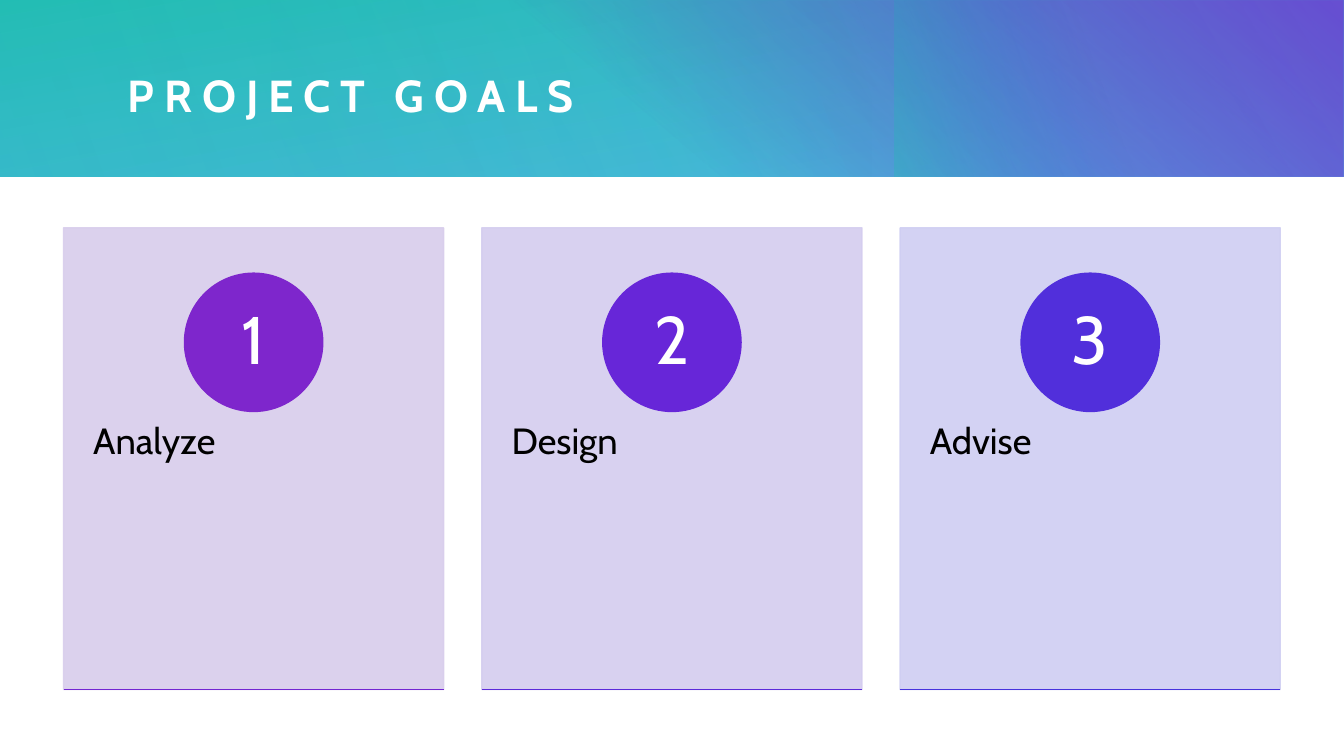
"""Build a project goals slide with a gradient header and three numbered cards."""
from dataclasses import dataclass
from typing import Any, NamedTuple

from lxml import etree
from pptx import Presentation
from pptx.dml.color import RGBColor
from pptx.enum.shapes import MSO_CONNECTOR, MSO_SHAPE
from pptx.enum.text import MSO_ANCHOR, PP_ALIGN
from pptx.oxml.ns import qn
from pptx.util import Pt

RECTANGLE = MSO_SHAPE.RECTANGLE
OVAL = MSO_SHAPE.OVAL
STRAIGHT = MSO_CONNECTOR.STRAIGHT
TOP = MSO_ANCHOR.TOP
MIDDLE = MSO_ANCHOR.MIDDLE
LEFT = PP_ALIGN.LEFT
CENTER = PP_ALIGN.CENTER


@dataclass(frozen=True)
class Theme:
    font: str = "Cabin"
    white: str = "FFFFFF"
    black: str = "000000"
    sky: str = "33ADDD"
    teal: str = "20C2AC"
    purple: str = "7E26CC"
    blue: str = "2154CB"
    title_size: float = 32
    number_size: float = 48
    label_size: float = 26
    title_tracking: float = 7
    line_width: float = 1
    card_opacity: float = 90


class Area(NamedTuple):
    left: float
    top: float
    width: float
    height: float

    def lengths(self) -> list[Pt]:
        return [Pt(value) for value in self]


class Stop(NamedTuple):
    position: float
    color: str
    opacity: float = 100


class Band(NamedTuple):
    area: Area
    angle: float
    stops: tuple[Stop, Stop]
    rotation: float = 0


class Goal(NamedTuple):
    label: str
    panel: str
    circle: str
    rule: str


class TextStyle(NamedTuple):
    size: float
    color: str
    align: Any = LEFT
    anchor: Any = TOP
    inset_x: float = 0
    inset_y: float = 0
    line_spacing: float = 1
    bold: bool = False
    tracking: float = 0


THEME = Theme()
PAGE_WIDTH, PAGE_HEIGHT = 960, 540
HEADER_HEIGHT = 126
CARD = Area(45.4, 162.7, 271.5, 329.8)
CARD_PITCH = 298.8
CIRCLE_SIZE, CIRCLE_TOP = 98.8, 195.1
NUMBER_SIZE = 69.8
LABEL_TOP, LABEL_HEIGHT = 288, 198
TITLE_AREA = Area(91.4, 29.5, 817.2, 76.3)

TITLE_STYLE = TextStyle(THEME.title_size, THEME.white, anchor=MIDDLE, bold=True,
                        tracking=THEME.title_tracking)
LABEL_STYLE = TextStyle(THEME.label_size, THEME.black, inset_x=21.2, inset_y=25.6,
                        line_spacing=0.9)
NUMBER_STYLE = TextStyle(THEME.number_size, THEME.white, CENTER, MIDDLE, 7.8, 0.7, 0.9)

BANDS = (
    Band(Area(0, 0, PAGE_WIDTH, HEADER_HEIGHT), 260,
         (Stop(0, THEME.sky, 83), Stop(1, THEME.teal))),
    Band(Area(346.3, 0.5, 613.7, 125.5), 310,
         (Stop(0.22, THEME.purple, 0), Stop(0.99, THEME.purple))),
    Band(Area(710.6, -71.6, HEADER_HEIGHT, 269.2), 250,
         (Stop(0.45, THEME.blue, 0), Stop(0.99, THEME.teal, 33)), 270),
    Band(Area(193.3, 0, 766.4, HEADER_HEIGHT), 330,
         (Stop(0, THEME.sky, 30), Stop(0.99, THEME.sky, 0)), 180),
    Band(Area(0, 0, 622.8, HEADER_HEIGHT), 340,
         (Stop(0, THEME.sky, 21), Stop(0.99, THEME.sky, 0))),
)

GOALS = (
    Goal("Analyze", "D8CDEC", "7E26CC", "7326D2"),
    Goal("Design", "D4CDEF", "6726D8", "5C2ADA"),
    Goal("Advise", "CFCEF2", "512FDB", "4733DD"),
)


def set_values(target: Any, values: dict[str, Any]) -> None:
    for name, value in values.items():
        setattr(target, name, value)


def set_opacities(shape: Any, opacities: list[float]) -> None:
    colors = list(shape._element.spPr.iter(qn("a:srgbClr")))
    for color, opacity in zip(colors, opacities):
        etree.SubElement(color, qn("a:alpha")).set("val", str(round(opacity * 1000)))


def add_band(shapes: Any, band: Band) -> None:
    shape = shapes.add_shape(RECTANGLE, *band.area.lengths())
    shape.shadow.inherit = False
    shape.rotation = band.rotation
    shape.line.fill.background()
    shape.fill.gradient()
    shape.fill.gradient_angle = 360 - band.angle
    for target, stop in zip(shape.fill.gradient_stops, band.stops):
        target.position = stop.position
        target.color.rgb = RGBColor.from_string(stop.color)
    set_opacities(shape, [stop.opacity for stop in band.stops])


def add_solid(shapes: Any, kind: Any, area: Area, color: str) -> Any:
    shape = shapes.add_shape(kind, *area.lengths())
    shape.shadow.inherit = False
    shape.fill.solid()
    shape.fill.fore_color.rgb = RGBColor.from_string(color)
    shape.line.color.rgb = RGBColor.from_string(color)
    shape.line.width = Pt(THEME.line_width)
    return shape


def add_rule(shapes: Any, left: float, right: float, top: float, color: str) -> None:
    rule = shapes.add_connector(STRAIGHT, Pt(left), Pt(top), Pt(right), Pt(top))
    rule.line.color.rgb = RGBColor.from_string(color)
    rule.line.width = Pt(THEME.line_width)
    etree.SubElement(rule._element.spPr, qn("a:effectLst"))


def add_text(shapes: Any, area: Area, text: str, style: TextStyle) -> None:
    frame = shapes.add_textbox(*area.lengths()).text_frame
    inset_x, inset_y = Pt(style.inset_x), Pt(style.inset_y)
    set_values(frame, {"word_wrap": True, "vertical_anchor": style.anchor,
                       "margin_left": inset_x, "margin_right": inset_x,
                       "margin_top": inset_y, "margin_bottom": inset_y})
    para = frame.paragraphs[0]
    set_values(para, {"alignment": style.align, "line_spacing": style.line_spacing})
    span = para.add_run()
    span.text = text
    set_values(span.font, {"name": THEME.font, "size": Pt(style.size), "bold": style.bold})
    span.font.color.rgb = RGBColor.from_string(style.color)
    if style.tracking:
        span._r.get_or_add_rPr().set("spc", str(round(style.tracking * 100)))


def add_card(page: Any, index: int, goal: Goal) -> None:
    shapes = page.shapes.add_group_shape().shapes
    area = CARD._replace(left=CARD.left + index * CARD_PITCH)
    panel = add_solid(shapes, RECTANGLE, area, goal.panel)
    set_opacities(panel, [THEME.card_opacity] * 2)
    add_text(shapes, area._replace(top=LABEL_TOP, height=LABEL_HEIGHT), goal.label, LABEL_STYLE)
    circle = Area(area.left + (area.width - CIRCLE_SIZE) / 2, CIRCLE_TOP,
                  CIRCLE_SIZE, CIRCLE_SIZE)
    add_solid(shapes, OVAL, circle, goal.circle)
    inset = (CIRCLE_SIZE - NUMBER_SIZE) / 2
    number = Area(circle.left + inset, circle.top + inset, NUMBER_SIZE, NUMBER_SIZE)
    add_text(shapes, number, str(index + 1), NUMBER_STYLE)
    add_rule(shapes, area.left, area.left + area.width, area.top + area.height, goal.rule)


def main() -> None:
    deck = Presentation()
    set_values(deck, {"slide_width": Pt(PAGE_WIDTH), "slide_height": Pt(PAGE_HEIGHT)})
    page = deck.slides.add_slide(deck.slide_layouts[6])
    for band in BANDS:
        add_band(page.shapes, band)
    add_text(page.shapes, TITLE_AREA, "PROJECT GOALS", TITLE_STYLE)
    for index, goal in enumerate(GOALS):
        add_card(page, index, goal)
    deck.save("out.pptx")


if __name__ == "__main__":
    main()
